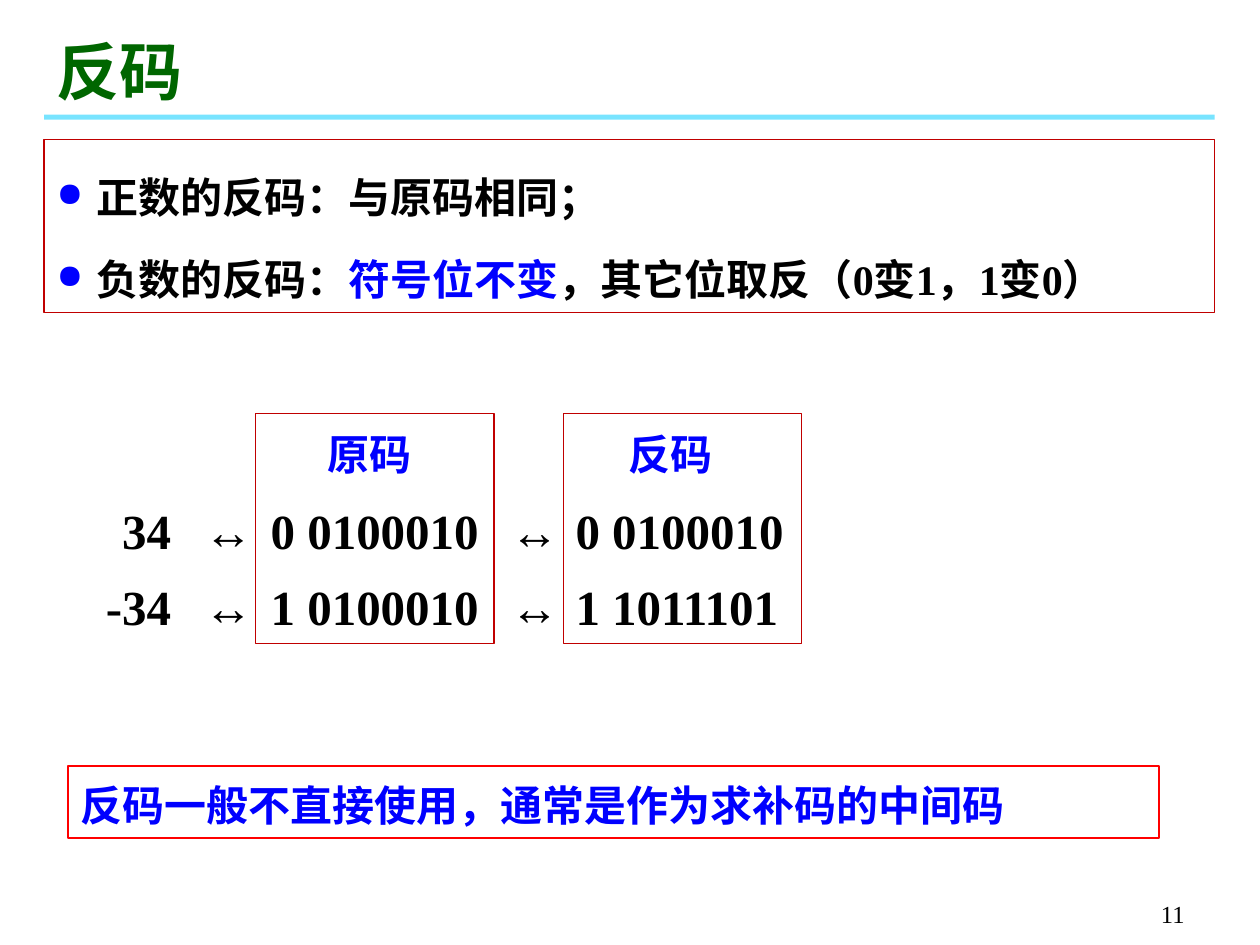
from lxml import etree
from pptx import Presentation
from pptx import util as u
from pptx.dml.color import RGBColor
from pptx.enum import shapes, text
from pptx.oxml.ns import qn

In = u.Inches
COLORS = {"title": "006600", "rule": "00CCFF", "frame": "C00000",
          "alert": "FF0000", "key": "0000FF", "body": "000000"}
FONT = "Times New Roman"


def color(name):
    """Return the named colour."""
    return RGBColor.from_string(COLORS[name])


def set_attrs(obj, values):
    """Set every attribute in a dict of format values."""
    for key, value in values.items():
        setattr(obj, key, value)


def add_box(s, box, line=None, width=0.75):
    """Add an unfilled rectangle, outlined in the named colour."""
    sp = s.shapes.add_shape(shapes.MSO_SHAPE.RECTANGLE, *map(In, box))
    sp.shadow.inherit = False
    sp.fill.background()
    if line:
        sp.line.color.rgb = color(line)
        sp.line.width = u.Pt(width)
    else:
        sp.line.fill.background()
    return sp


def add_bullet(p, indent):
    """Give a paragraph a blue round bullet with a hanging indent."""
    pPr = p._p.get_or_add_pPr()
    pPr.set("marL", str(In(indent)))
    pPr.set("indent", str(-In(indent)))
    clr = etree.SubElement(pPr, qn("a:buClr"))
    etree.SubElement(clr, qn("a:srgbClr"), val=COLORS["key"])
    etree.SubElement(pPr, qn("a:buSzPct"), val="80000")
    etree.SubElement(pPr, qn("a:buChar"), char="●")


def add_tabs(p, stops):
    """Add tab stops given as (inches, alignment) pairs."""
    tabs = etree.SubElement(p._p.get_or_add_pPr(), qn("a:tabLst"))
    for pos, algn in stops:
        etree.SubElement(tabs, qn("a:tab"), pos=str(In(pos)), algn=algn)


def write(sp, paragraphs, size, bold=True, anchor=text.MSO_ANCHOR.TOP,
          align=text.PP_ALIGN.LEFT, spacing=None, before=0,
          indent=None, stops=None):
    """Fill a shape with paragraphs, each a list of (text, colour) runs."""
    tf = sp.text_frame
    set_attrs(tf, {"word_wrap": True, "vertical_anchor": anchor})
    for i, runs in enumerate(paragraphs):
        p = tf.add_paragraph() if i else tf.paragraphs[0]
        set_attrs(p, {"alignment": align, "line_spacing": spacing,
                      "space_before": u.Pt(before if i else 0)})
        if indent:
            add_bullet(p, indent)
        if stops:
            add_tabs(p, stops)
        for words, name in runs:
            r = p.add_run()
            r.text = words
            set_attrs(r.font, {"size": u.Pt(size), "name": FONT, "bold": bold})
            r.font.color.rgb = color(name)


def add_text(s, box, *args, **kwargs):
    """Add a text box and write in it."""
    write(s.shapes.add_textbox(*map(In, box)), *args, **kwargs)


def add_header(s, x, y, w, h):
    """Draw the title and the translucent rule under it."""
    rule = add_box(s, (x, y + h, w, 0.04))
    rule.fill.solid()
    rule.fill.fore_color.rgb = color("rule")
    clr = rule.fill._xPr.find(".//" + qn("a:srgbClr"))
    etree.SubElement(clr, qn("a:alpha"), val="53000")
    add_text(s, (x, y, 7.17, h), [[("反码", "title")]], 36,
             anchor=text.MSO_ANCHOR.BOTTOM)


def add_rules(s, *box):
    """Draw the framed definitions."""
    write(add_box(s, box, "frame"), [
        [("正数的反码：与原码相同；", "body")],
        [("负数的反码：", "body"), ("符号位不变", "key"),
         ("，其它位取反（0变1，1变0）", "body")],
    ], 24, spacing=1.5, before=3.6, indent=0.32)


def add_example(s, x, y, w, h):
    """Draw the two code columns and the rows that cross them."""
    for left, label_left, label in ((1.36, 1.63, "原码"), (3.8, 4.02, "反码")):
        add_box(s, (x + left, y, 1.89, h), "frame")
        add_text(s, (x + label_left, y + 0.07, 1.26, 0.5), [[(label, "key")]],
                 24, align=text.PP_ALIGN.CENTER)
    rows = [("34", "0 0100010", "0 0100010"),
            ("-34", "1 0100010", "1 1011101")]
    lines = [[("\t" + "\t".join((n, "↔", a, "↔", b)), "body")]
             for n, a, b in rows]
    stops = [(0.59, "r"), (0.85, "l"), (1.38, "l"), (3.28, "l"), (3.8, "l")]
    add_text(s, (x, y + 0.55, w, h - 0.55), lines, 28, spacing=1.2,
             before=2.8, stops=stops)


def add_note(s, *box):
    """Draw the framed closing remark."""
    write(add_box(s, box, "alert", 1),
          [[("反码一般不直接使用，通常是作为求补码的中间码", "key")]],
          24, spacing=1.15)


def add_page_number(s, *box):
    """Write the page number."""
    add_text(s, box, [[("11", "body")]], 14, bold=False,
             anchor=text.MSO_ANCHOR.BOTTOM, align=text.PP_ALIGN.RIGHT)


def main():
    """Build and save the slide."""
    prs = Presentation()
    set_attrs(prs, {"slide_width": In(10), "slide_height": In(7.5)})
    s = prs.slides.add_slide(prs.slide_layouts[6])
    add_header(s, 0.35, 0.21, 9.29, 0.7)
    add_rules(s, 0.35, 1.11, 9.29, 1.37)
    add_example(s, 0.67, 3.28, 8.66, 1.83)
    add_note(s, 0.54, 6.08, 8.66, 0.57)
    add_page_number(s, 7.42, 6.92, 2.08, 0.5)
    prs.save("out.pptx")


if __name__ == "__main__":
    main()
